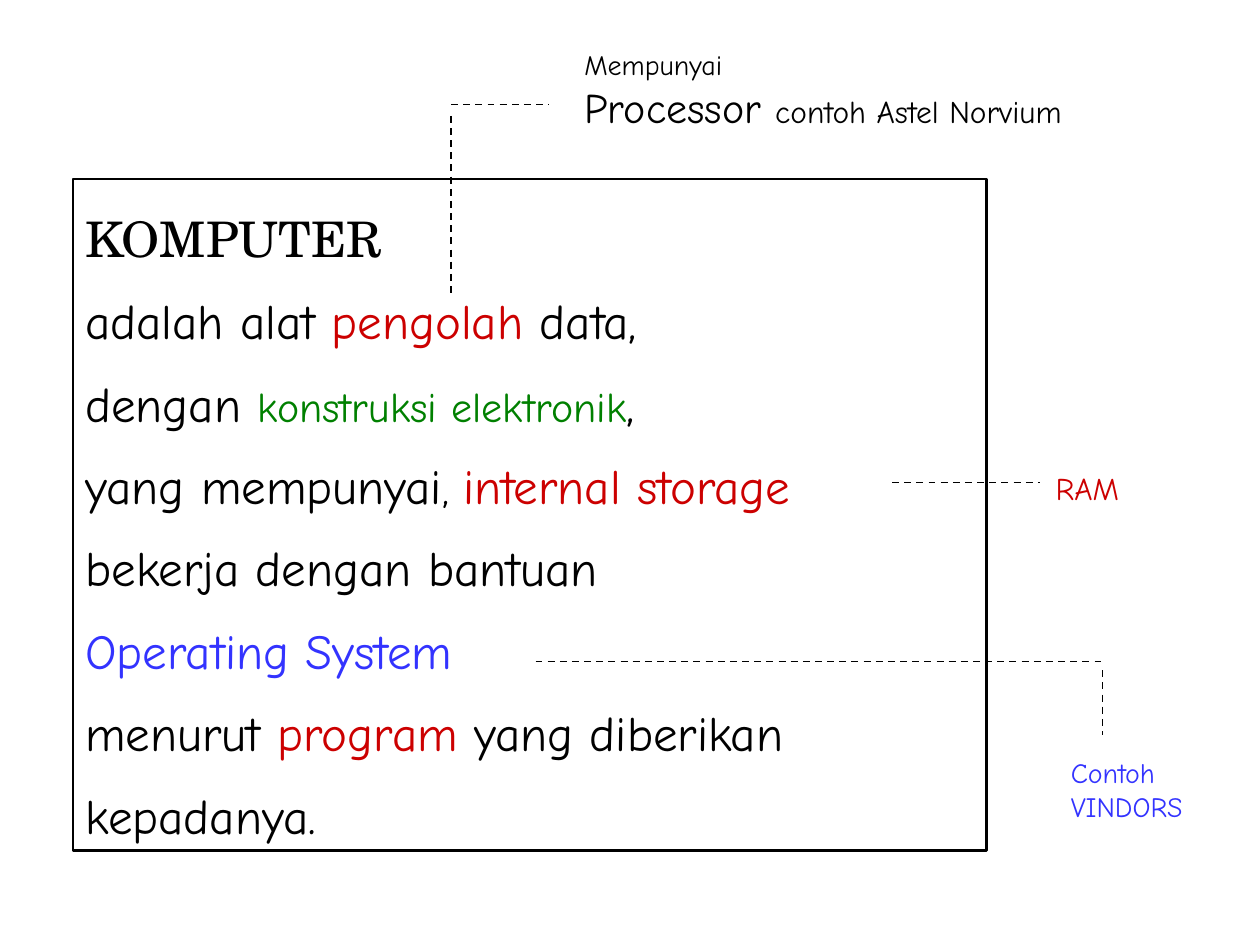
"""Build a slide that defines the computer, with dashed callouts to examples."""
import dataclasses

import lxml.etree
import pptx
import pptx.dml.color
import pptx.enum.dml
import pptx.enum.shapes
import pptx.enum.text
import pptx.oxml.ns
import pptx.util

PX = 9144


@dataclasses.dataclass(frozen=True)
class Theme:
    black: str = "000000"
    red: str = "CC0000"
    green: str = "008000"
    blue: str = "3333FF"
    body_font: str = "Comic Neue"
    heading_font: str = "TeX Gyre Schola"
    large: int = 28
    medium: int = 24
    small: int = 18
    tiny: int = 16


theme = Theme()


def rgb(value):
    return pptx.dml.color.RGBColor.from_string(value)


def write(box, lines, spacing=None):
    frame = box.text_frame
    frame.word_wrap = True
    frame.auto_size = pptx.enum.text.MSO_AUTO_SIZE.SHAPE_TO_FIT_TEXT
    frame.vertical_anchor = pptx.enum.text.MSO_ANCHOR.TOP
    for index, line in enumerate(lines):
        para = frame.add_paragraph() if index else frame.paragraphs[0]
        para.alignment = pptx.enum.text.PP_ALIGN.LEFT
        para.line_spacing = spacing
        for text, size, color, *font in line:
            span = para.add_run()
            span.text = text
            span.font.size = pptx.util.Pt(size)
            span.font.color.rgb = rgb(color)
            span.font.name = font[0] if font else theme.body_font


deck = pptx.Presentation()
deck.slide_width = 1000 * PX
deck.slide_height = 750 * PX
page = deck.slides.add_slide(deck.slide_layouts[6])

callout_lines = [
    (708, 383, 825, 383),
    (425, 525, 875, 525),
    (875, 532, 875, 583),
    (358, 92, 358, 233),
    (358, 83, 436, 83),
]
for ends in callout_lines:
    connector = page.shapes.add_connector(
        pptx.enum.shapes.MSO_CONNECTOR.STRAIGHT, *(end * PX for end in ends)
    )
    connector.line.color.rgb = rgb(theme.black)
    connector.line.width = pptx.util.Pt(1)
    connector.line.dash_style = pptx.enum.dml.MSO_LINE.DASH
    properties = connector._element.spPr
    lxml.etree.SubElement(properties, pptx.oxml.ns.qn("a:effectLst"))

callouts = [
    ((828, 367, 85, 40), [[("RAM", theme.small, theme.red)]]),
    ((840, 595, 130, 64), [
        [("Contoh", theme.tiny, theme.blue)],
        [("VINDORS", theme.tiny, theme.blue)],
    ]),
    ((454, 33, 440, 77), [
        [("Mempunyai", theme.tiny, theme.black)],
        [("Processor ", theme.medium, theme.black),
         ("contoh Astel Norvium", theme.small, theme.black)],
    ]),
]
for bounds, lines in callouts:
    box = page.shapes.add_textbox(*(length * PX for length in bounds))
    write(box, lines)

definition = page.shapes.add_shape(
    pptx.enum.shapes.MSO_SHAPE.RECTANGLE, 58 * PX, 142 * PX, 725 * PX, 533 * PX
)
definition.shadow.inherit = False
definition.fill.background()
definition.line.color.rgb = rgb(theme.black)
definition.line.width = pptx.util.Pt(1.5)
definition_lines = [
    [("KOMPUTER", theme.large, theme.black, theme.heading_font)],
    [("adalah alat ", theme.large, theme.black),
     ("pengolah", theme.large, theme.red),
     (" data,", theme.large, theme.black)],
    [("dengan ", theme.large, theme.black),
     ("konstruksi elektronik", theme.medium, theme.green),
     (",", theme.large, theme.black)],
    [("yang mempunyai", theme.large, theme.black),
     (", ", theme.medium, theme.black),
     ("internal storage", theme.large, theme.red)],
    [("bekerja dengan bantuan", theme.large, theme.black)],
    [("Operating System", theme.large, theme.blue)],
    [("menurut ", theme.large, theme.black),
     ("program", theme.large, theme.red),
     (" yang diberikan kepadanya.", theme.large, theme.black)],
]
write(definition, definition_lines, spacing=1.4)

deck.save("out.pptx")
